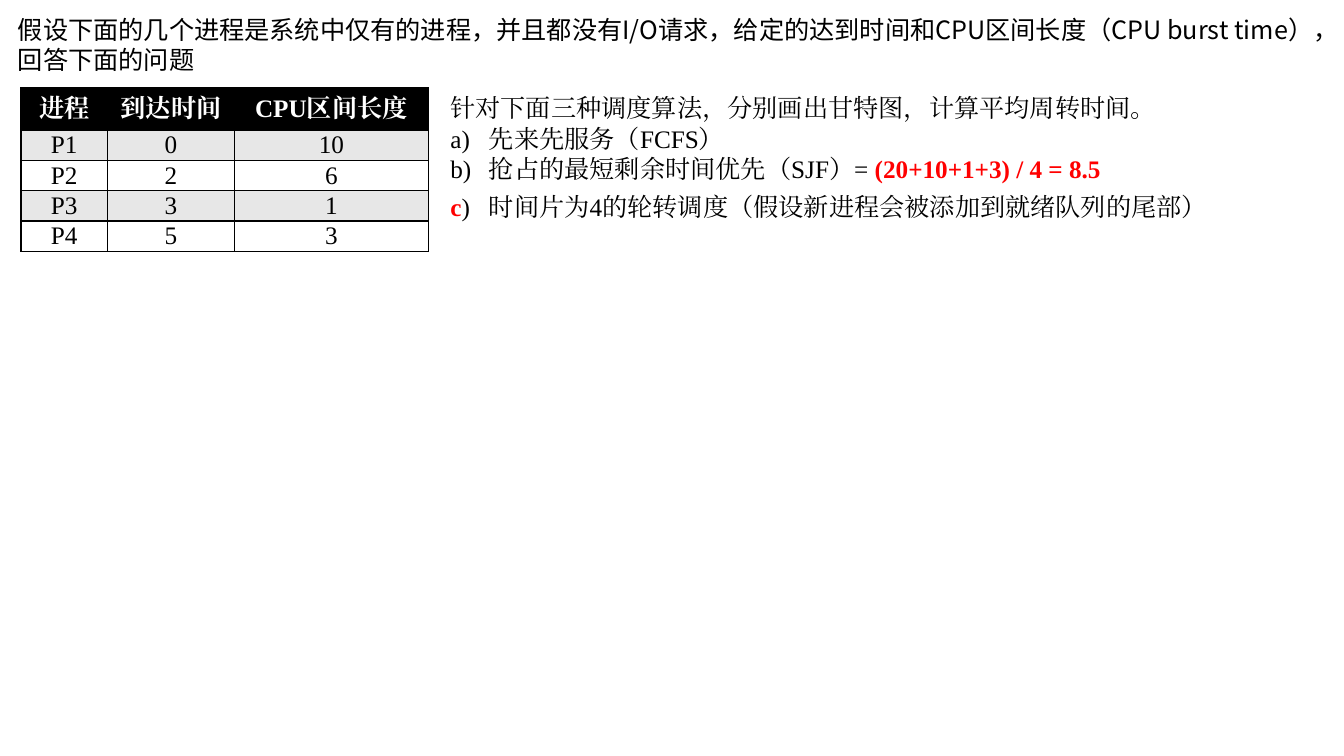
from lxml import etree
from pptx import Presentation
from pptx import util as u
from pptx.dml.color import RGBColor
from pptx.enum import text
from pptx.oxml import ns

BLACK = RGBColor(0x00, 0x00, 0x00)
WHITE = RGBColor(0xFF, 0xFF, 0xFF)
RED = RGBColor(0xFF, 0x00, 0x00)
BAND = RGBColor(0xE7, 0xE7, 0xE7)
SANS = "Noto Sans CJK SC"
SERIF = "Times New Roman"

QUESTION = ("假设下面的几个进程是系统中仅有的进程，并且都没有I/O请求，给定的达到时间和"
            "CPU区间长度（CPU burst time），回答下面的问题")
PROCESSES = [
    ("进程", "到达时间", "CPU区间长度"),
    ("P1", "0", "10"),
    ("P2", "2", "6"),
    ("P3", "3", "1"),
    ("P4", "5", "3"),
]
# Each task is a list of (words, emphasised) pieces
TASKS = [
    [("针对下面三种调度算法，分别画出甘特图，计算平均周转时间。", False)],
    [("a)\t先来先服务（FCFS）", False)],
    [("b)\t抢占的最短剩余时间优先（SJF）= ", False), ("(20+10+1+3) / 4 = 8.5", True)],
    [("c", True), (")\t时间片为4的轮转调度（假设新进程会被添加到就绪队列的尾部）", False)],
]


def set_values(target, values):
    for name, value in values.items():
        setattr(target, name, value)


def add_run(paragraph, words, font_name, color=BLACK, bold=False):
    run = paragraph.add_run()
    run.text = words
    set_values(run.font, {"size": u.Pt(18), "name": font_name, "bold": bold})
    run.font.color.rgb = color
    east_asian = etree.SubElement(run.font._element, ns.qn("a:ea"))
    east_asian.set("typeface", font_name)


def add_text_frame(slide, box):
    frame = slide.shapes.add_textbox(*box).text_frame
    set_values(frame, {"word_wrap": True, "auto_size": text.MSO_AUTO_SIZE.SHAPE_TO_FIT_TEXT})
    return frame


def add_borders(cell):
    properties = cell._tc.get_or_add_tcPr()
    for side in ("lnL", "lnR", "lnT", "lnB"):
        line = etree.SubElement(properties, ns.qn(f"a:{side}"), w=str(u.Pt(1)))
        fill = etree.SubElement(line, ns.qn("a:solidFill"))
        etree.SubElement(fill, ns.qn("a:srgbClr"), val=str(BLACK))


# Question across the top
def add_question(slide, box):
    frame = add_text_frame(slide, box)
    add_run(frame.paragraphs[0], QUESTION, SANS)


# Table of processes
def add_process_table(slide, box):
    shape = slide.shapes.add_table(len(PROCESSES), len(PROCESSES[0]), *box)
    table = shape.table
    for column, width in zip(table.columns, (2.18, 3.2, 4.88)):
        column.width = u.Cm(width)
    for index, values in enumerate(PROCESSES):
        header = index == 0
        fill = BLACK if header else BAND if index % 2 else WHITE
        table.rows[index].height = u.Cm(1.07 if header else 0.76)
        for cell, value in zip(table.rows[index].cells, values):
            set_values(cell, {
                "margin_left": u.Cm(0.18), "margin_right": u.Cm(0.18),
                "margin_top": 0, "margin_bottom": 0,
                "vertical_anchor": text.MSO_ANCHOR.MIDDLE,
            })
            add_borders(cell)
            cell.fill.solid()
            cell.fill.fore_color.rgb = fill
            paragraph = cell.text_frame.paragraphs[0]
            paragraph.alignment = text.PP_ALIGN.CENTER
            add_run(paragraph, value, SERIF, WHITE if header else BLACK, header)


# Tasks beside the table
def add_tasks(slide, box):
    frame = add_text_frame(slide, box)
    for index, pieces in enumerate(TASKS):
        paragraph = frame.add_paragraph() if index else frame.paragraphs[0]
        if index:
            properties = paragraph._p.get_or_add_pPr()
            properties.set("marL", str(u.Cm(0.97)))
            properties.set("indent", str(-u.Cm(0.97)))
        paragraph.line_spacing = 1.25 if index == len(TASKS) - 1 else 1.0
        for words, emphasised in pieces:
            add_run(paragraph, words, SERIF, RED if emphasised else BLACK, emphasised)


def main():
    presentation = Presentation()
    set_values(presentation, {"slide_width": u.Cm(33.87), "slide_height": u.Cm(19.05)})
    slide = presentation.slides.add_slide(presentation.slide_layouts[6])
    add_question(slide, (u.Cm(0.2), u.Cm(0.23), u.Cm(33.27), u.Cm(1.8)))
    add_process_table(slide, (u.Cm(0.53), u.Cm(2.21), u.Cm(10.26), u.Cm(4.11)))
    add_tasks(slide, (u.Cm(11.1), u.Cm(2.21), u.Cm(22.12), u.Cm(4.09)))
    presentation.save("out.pptx")


if __name__ == "__main__":
    main()
